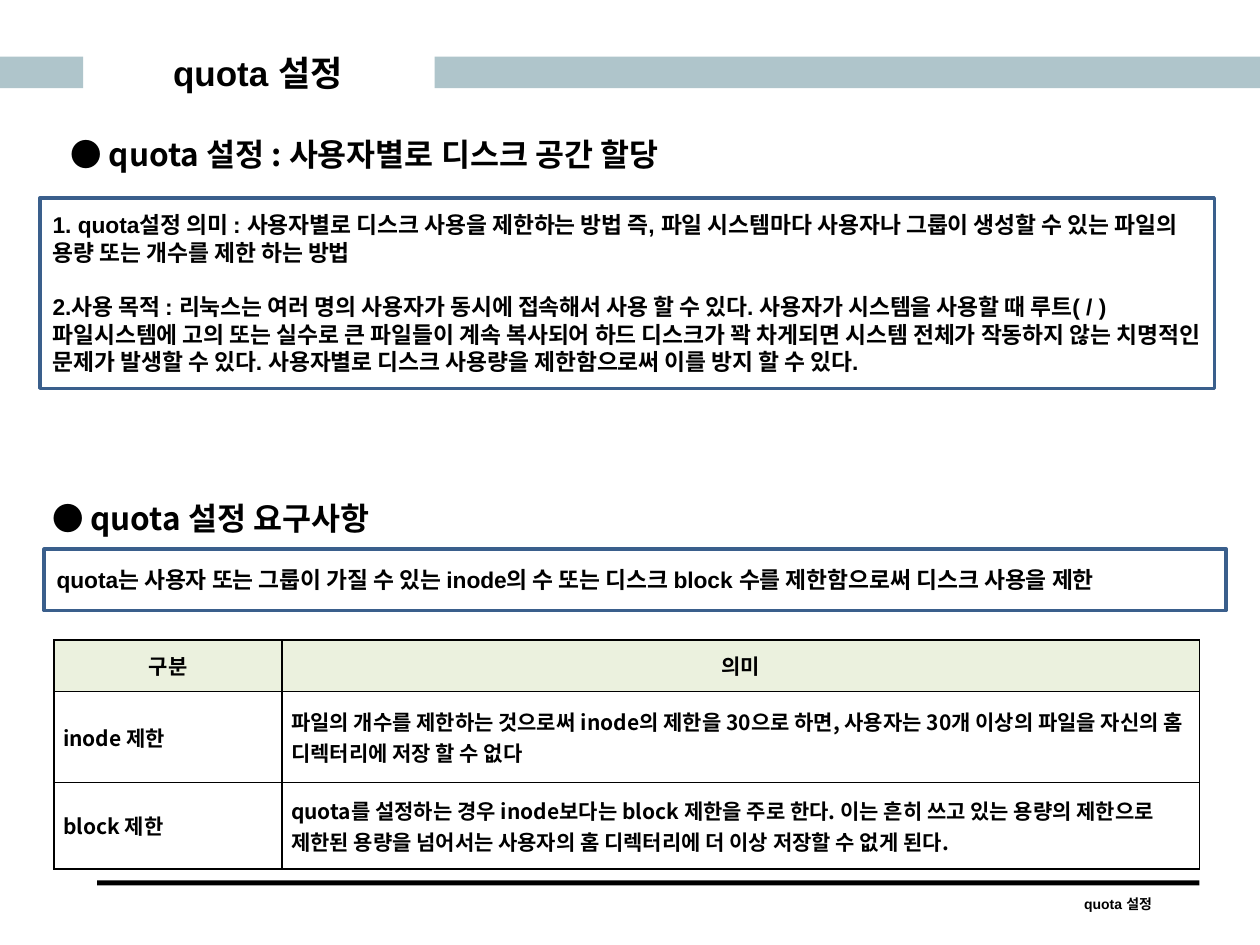
import lxml.etree
import pptx
import pptx.dml.color
import pptx.enum.shapes
import pptx.enum.text
import pptx.oxml.ns
import pptx.util

Cm = pptx.util.Cm
Pt = pptx.util.Pt
qn = pptx.oxml.ns.qn
ALIGN = pptx.enum.text.PP_ALIGN
MIDDLE = pptx.enum.text.MSO_ANCHOR.MIDDLE


def color(value):
    return pptx.dml.color.RGBColor.from_string(value)


class QuotaPage:
    """Style and drawing methods for the quota slide."""

    latin = "Arial"
    korean = "Noto Sans CJK KR"
    ink = "000000"
    band = "AFC5CB"
    frame = "3A5F8C"
    header = "EBF1DE"

    def __init__(self, deck):
        self.page = deck.slides.add_slide(deck.slide_layouts[6])

    def format(self, paragraph, size, name, align=ALIGN.LEFT):
        paragraph.alignment = align
        for span in paragraph.runs:
            span.font.size = Pt(size)
            span.font.name = name
            span.font.bold = True
            span.font.color.rgb = color(self.ink)

    def rectangle(self, left, top, width, height):
        box = self.page.shapes.add_shape(
            pptx.enum.shapes.MSO_SHAPE.RECTANGLE,
            Cm(left), Cm(top), Cm(width), Cm(height))
        box.shadow.inherit = False
        return box

    def bar(self, left, top, width, height, fill):
        box = self.rectangle(left, top, width, height)
        box.fill.solid()
        box.fill.fore_color.rgb = color(fill)
        box.line.fill.background()

    def label(self, left, top, width, height, text, size, name=latin, wrap=True):
        box = self.page.shapes.add_textbox(Cm(left), Cm(top), Cm(width), Cm(height))
        box.text_frame.word_wrap = wrap
        box.text_frame.text = text
        self.format(box.text_frame.paragraphs[0], size, name, ALIGN.CENTER)
        return box

    def heading(self, left, top, width, height, text):
        box = self.label(left, top, width, height, "● ", 18, self.korean, wrap=False)
        paragraph = box.text_frame.paragraphs[0]
        paragraph.add_run().text = text
        self.format(paragraph, 18, self.korean, ALIGN.CENTER)
        paragraph.runs[0].font.bold = False

    def framed(self, left, top, width, height, *texts):
        box = self.rectangle(left, top, width, height)
        box.fill.background()
        box.line.color.rgb = color(self.frame)
        box.line.width = Pt(2)
        box.text_frame.word_wrap = True
        box.text_frame.vertical_anchor = MIDDLE
        box.text_frame.text = "\n".join(texts)
        for index, paragraph in enumerate(box.text_frame.paragraphs):
            self.format(paragraph, 13, self.latin)
            if index:
                paragraph.space_before = Pt(15.5)

    def borders(self, cell):
        properties = cell._tc.get_or_add_tcPr()
        for index, side in enumerate(("a:lnL", "a:lnR", "a:lnT", "a:lnB")):
            line = lxml.etree.Element(qn(side), w=str(Pt(1)))
            fill = lxml.etree.SubElement(line, qn("a:solidFill"))
            lxml.etree.SubElement(fill, qn("a:srgbClr"), val=self.ink)
            properties.insert(index, line)

    def cell(self, cell, text, is_header):
        cell.text = text
        cell.vertical_anchor = MIDDLE
        cell.margin_left = cell.margin_right = Cm(0.18)
        cell.margin_top = cell.margin_bottom = 0
        if is_header:
            cell.fill.solid()
            cell.fill.fore_color.rgb = color(self.header)
        else:
            cell.fill.background()
        self.borders(cell)
        self.format(cell.text_frame.paragraphs[0], 12,
                    self.latin if is_header else self.korean,
                    ALIGN.CENTER if is_header else ALIGN.LEFT)

    def table(self, left, top, widths, heights, rows):
        table = self.page.shapes.add_table(
            len(rows), len(widths), Cm(left), Cm(top),
            Cm(sum(widths)), Cm(sum(heights))).table
        table.horz_banding = False
        for column, width in zip(table.columns, widths):
            column.width = Cm(width)
        for row, height, texts in zip(table.rows, heights, rows):
            row.height = Cm(height)
            for cell, text in zip(row.cells, texts):
                self.cell(cell, text, texts is rows[0])


def main():
    deck = pptx.Presentation()
    deck.slide_width, deck.slide_height = Cm(25.4), Cm(19.05)
    quota = QuotaPage(deck)

    quota.bar(0, 1.14, 1.68, 0.64, quota.band)
    quota.bar(8.76, 1.14, 16.64, 0.64, quota.band)
    quota.bar(1.96, 17.75, 22.22, 0.1, quota.ink)
    quota.label(20.9, 17.93, 3.28, 0.61, "quota 설정", 8)
    title = quota.label(1.9, 0.91, 6.6, 1.09, "quota 설정", 20)
    title.text_frame.vertical_anchor = MIDDLE
    title.text_frame.margin_top = title.text_frame.margin_bottom = Cm(0.1)

    quota.heading(0.51, 2.59, 13.67, 1.02, "quota 설정 : 사용자별로 디스크 공간 할당")
    quota.framed(
        0.81, 3.99, 23.67, 3.84,
        "1. quota설정 의미 : 사용자별로 디스크 사용을 제한하는 방법 즉, "
        "파일 시스템마다 사용자나 그룹이 생성할 수 있는 "
        "파일의 용량 또는 개수를 제한 하는 방법",
        "2.사용 목적 : 리눅스는 여러 명의 사용자가 동시에 접속해서 사용 할 수 있다. "
        "사용자가 시스템을 사용할 때 루트( / ) "
        "파일시스템에 고의 또는 실수로 큰 파일들이 계속 복사되어 "
        "하드 디스크가 꽉 차게되면 시스템 전체가 작동하지 않는 "
        "치명적인 문제가 발생할 수 있다. "
        "사용자별로 디스크 사용량을 제한함으로써 이를 방지 할 수 있다.")

    quota.framed(
        0.89, 11.07, 23.83, 1.24,
        "quota는 사용자 또는 그룹이 가질 수 있는 inode의 수 또는 "
        "디스크 block 수를 제한함으로써 디스크 사용을 제한")
    quota.heading(0.51, 9.93, 7.47, 1.02, "quota 설정 요구사항")
    quota.table(1.09, 12.9, (4.6, 18.49), (1.04, 1.83, 1.75), (
        ("구분", "의미"),
        ("inode 제한",
         "파일의 개수를 제한하는 것으로써 inode의 제한을 30으로 하면, "
         "사용자는 30개 이상의 파일을 자신의 홈 디렉터리에 저장 할 수 없다"),
        ("block 제한",
         "quota를 설정하는 경우 inode보다는 block 제한을 주로 한다. "
         "이는 흔히 쓰고 있는 용량의 제한으로 제한된 용량을 넘어서는 "
         "사용자의 홈 디렉터리에 더 이상 저장할 수 없게 된다.")))
    deck.save("out.pptx")


if __name__ == "__main__":
    main()
